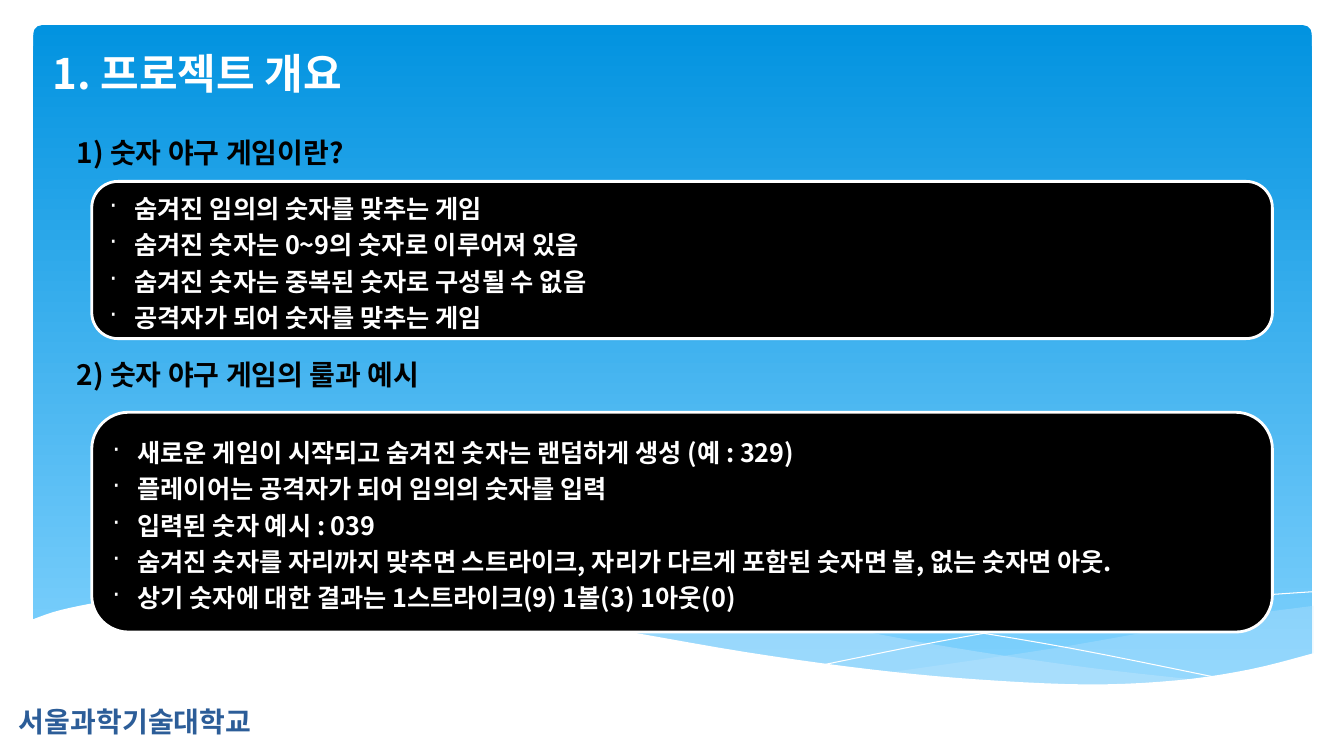
from pptx import Presentation
from pptx.dml.color import RGBColor
from pptx.enum.shapes import MSO_SHAPE
from pptx.enum.text import MSO_ANCHOR, MSO_AUTO_SIZE, PP_ALIGN
from pptx.oxml.ns import qn
from pptx.util import Inches, Pt
from lxml.etree import SubElement

FONT = "Noto Sans CJK KR"
WHITE, BLACK, NAVY, MIST = "FFFFFF", "000000", "2C5D98", "C6E7FC"
SKY = ("0293E0", "83D3FE")

TITLE = "1. 프로젝트 개요"
SCHOOL = "서울과학기술대학교"
# Heading placeholder, heading, heading top, panel top, panel height, bullet lines
SECTIONS = [
    (1, "1) 숫자 야구 게임이란?", 1.33, 1.8, 1.56, [
        "숨겨진 임의의 숫자를 맞추는 게임",
        "숨겨진 숫자는 0~9의 숫자로 이루어져 있음",
        "숨겨진 숫자는 중복된 숫자로 구성될 수 없음",
        "공격자가 되어 숫자를 맞추는 게임"]),
    (3, "2) 숫자 야구 게임의 룰과 예시", 3.53, 4.09, 2.18, [
        "새로운 게임이 시작되고 숨겨진 숫자는 랜덤하게 생성 (예 : 329)",
        "플레이어는 공격자가 되어 임의의 숫자를 입력",
        "입력된 숫자 예시 : 039",
        "숨겨진 숫자를 자리까지 맞추면 스트라이크, 자리가 다르게 포함된 숫자면 볼, "
        "없는 숫자면 아웃.",
        "상기 숫자에 대한 결과는 1스트라이크(9) 1볼(3) 1아웃(0)"]),
]

# Each wave: curves joined end to end, fill (None = white hairline), opacity in percent
WAVES = [
    ([[(13.03, 6.01), (12.29, 6.11), (11.49, 6.25), (10.4, 6.44), (8.83, 6.67)],
      [(8.83, 6.67), (9.77, 6.76), (10.72, 6.8), (11.64, 6.76), (12.39, 6.65),
       (13.03, 6.49)]], MIST, 29),
    ([[(11.92, 6.75), (10.77, 6.62), (9.42, 6.42), (7.99, 6.16), (6.87, 6),
       (5.61, 5.89), (4.82, 5.87), (3.82, 5.93)],
      [(3.82, 5.93), (4.84, 6.04), (6, 6.24), (7.56, 6.5), (8.88, 6.68),
       (9.99, 6.78), (10.92, 6.8), (11.92, 6.75)]], MIST, 40),
    ([[(4.13, 5.97), (4.85, 5.9), (5.77, 5.89), (6.81, 5.94), (8.12, 6.06),
       (9.28, 6.21), (10.61, 6.43), (12.11, 6.73)]], None, 100),
    ([[(8.19, 6.59), (9.28, 6.37), (10.37, 6.18), (11.56, 6), (12.33, 5.92),
       (13.02, 5.87)]], None, 100),
    ([[(0.31, 6.15), (0.61, 6.05), (1.13, 5.95), (1.76, 5.88), (2.58, 5.86),
       (3.33, 5.88), (4.53, 5.99), (5.96, 6.22), (7.4, 6.47), (8.63, 6.64),
       (9.69, 6.74), (10.78, 6.79), (11.67, 6.75), (12.4, 6.64), (13.03, 6.48)],
      [(13.03, 7.31), (0.31, 7.31)]], WHITE, 100),
]


def color(code):
    """Turn a hex string into a colour."""
    return RGBColor.from_string(code)


def write(shape, lines, size=20, ink=BLACK, spacing=0.9, before=10,
          anchor=MSO_ANCHOR.TOP, bullet=None):
    """Fill a shape with one bold paragraph per line."""
    frame = shape.text_frame
    frame.word_wrap, frame.auto_size = True, MSO_AUTO_SIZE.NONE
    frame.vertical_anchor = anchor
    for number, line in enumerate(lines):
        para = frame.add_paragraph() if number else frame.paragraphs[0]
        para.alignment, para.line_spacing = PP_ALIGN.LEFT, spacing
        para.space_before = Pt(before)
        if bullet:
            layout = para._p.get_or_add_pPr()
            layout.set("marL", str(Inches(0.25)))
            layout.set("indent", str(-Inches(0.25)))
            SubElement(layout, qn("a:buChar"), char=bullet)
        span = para.add_run()
        span.text = line
        span.font.name, span.font.size, span.font.bold = FONT, Pt(size), True
        span.font.color.rgb = color(ink)
        SubElement(span._r.get_or_add_rPr(), qn("a:ea"), typeface=FONT)


def place(shape, left, top, width, height):
    """Move and size a shape, in inches."""
    shape.left, shape.top = Inches(left), Inches(top)
    shape.width, shape.height = Inches(width), Inches(height)
    return shape


def add_round_box(slide, left, top, width, height):
    """Add a rounded rectangle without shadow."""
    box = slide.shapes.add_shape(MSO_SHAPE.ROUNDED_RECTANGLE, 0, 0, 0, 0)
    box.shadow.inherit = False
    return place(box, left, top, width, height)


def smooth(knots, steps=5):
    """Run a Catmull-Rom curve through the knots; two knots stay a straight line."""
    if len(knots) < 3:
        return knots
    padded = [knots[0], *knots, knots[-1]]
    points = [knots[0]]
    for a, b, c, d in zip(padded, padded[1:], padded[2:], padded[3:]):
        for step in range(1, steps + 1):
            t = step / steps
            points.append(tuple(
                (2 * q + (r - p) * t + (2 * p - 5 * q + 4 * r - s) * t ** 2
                 + (3 * q - p - 3 * r + s) * t ** 3) / 2
                for p, q, r, s in zip(a, b, c, d)))
    return points


def add_wave(slide, curves, fill, opacity):
    """Draw a filled wave, or a white hairline when there is no fill."""
    points = [(Inches(x), Inches(y)) for curve in curves for x, y in smooth(curve)]
    builder = slide.shapes.build_freeform(*points[0])
    builder.add_line_segments(points[1:], close=fill is not None)
    wave = builder.convert_to_shape()
    wave.shadow.inherit = False
    if fill is None:
        wave.fill.background()
        wave.line.color.rgb = color(WHITE)
        wave.line.width = Pt(0)
        return wave
    wave.line.fill.background()
    wave.fill.solid()
    wave.fill.fore_color.rgb = color(fill)
    if opacity < 100:
        tint = wave._element.spPr.find(qn("a:solidFill"))[0]
        SubElement(tint, qn("a:alpha"), val=str(opacity * 1000))
    return wave


def add_backdrop(slide):
    """Draw the sky and the waves behind every placeholder."""
    sky = add_round_box(slide, 0.33, 0.25, 12.68, 6.6)
    sky.adjustments[0] = 0.013
    sky.line.fill.background()
    sky.fill.gradient()
    sky.fill.gradient_angle = 270
    for stop, code, position in zip(sky.fill.gradient_stops, SKY, (0, 1)):
        stop.color.rgb, stop.position = color(code), position
    layers = [sky] + [add_wave(slide, *wave) for wave in WAVES]
    for depth, layer in enumerate(layers, start=2):
        slide.shapes._spTree.insert(depth, layer._element)


def add_section(slide, holder, heading, heading_top, top, height, lines):
    """Add a heading and its black panel of bullet lines."""
    write(place(slide.placeholders[holder], 0.66, heading_top, 4.2, 0.56), [heading])
    panel = add_round_box(slide, 0.91, top, 11.71, height)
    panel.fill.solid()
    panel.fill.fore_color.rgb = color(BLACK)
    panel.line.color.rgb = color(WHITE)
    panel.line.width = Pt(2)
    write(panel, lines, size=18, ink=WHITE, spacing=1.2, before=0,
          anchor=MSO_ANCHOR.MIDDLE, bullet="·")


deck = Presentation()
deck.slide_width, deck.slide_height = Inches(13.33), Inches(7.5)
page = deck.slides.add_slide(deck.slide_layouts.get_by_name("Comparison"))
for unused in (2, 4):
    holder = page.placeholders[unused]._element
    holder.getparent().remove(holder)

add_backdrop(page)
write(place(page.shapes.title, 0.42, 0.48, 3.77, 0.59), [TITLE], size=30, ink=WHITE)
for section in SECTIONS:
    add_section(page, *section)
write(place(page.shapes.add_textbox(0, 0, 0, 0), 0.09, 6.98, 4.77, 0.43),
      [SCHOOL], ink=NAVY)
deck.save("out.pptx")
